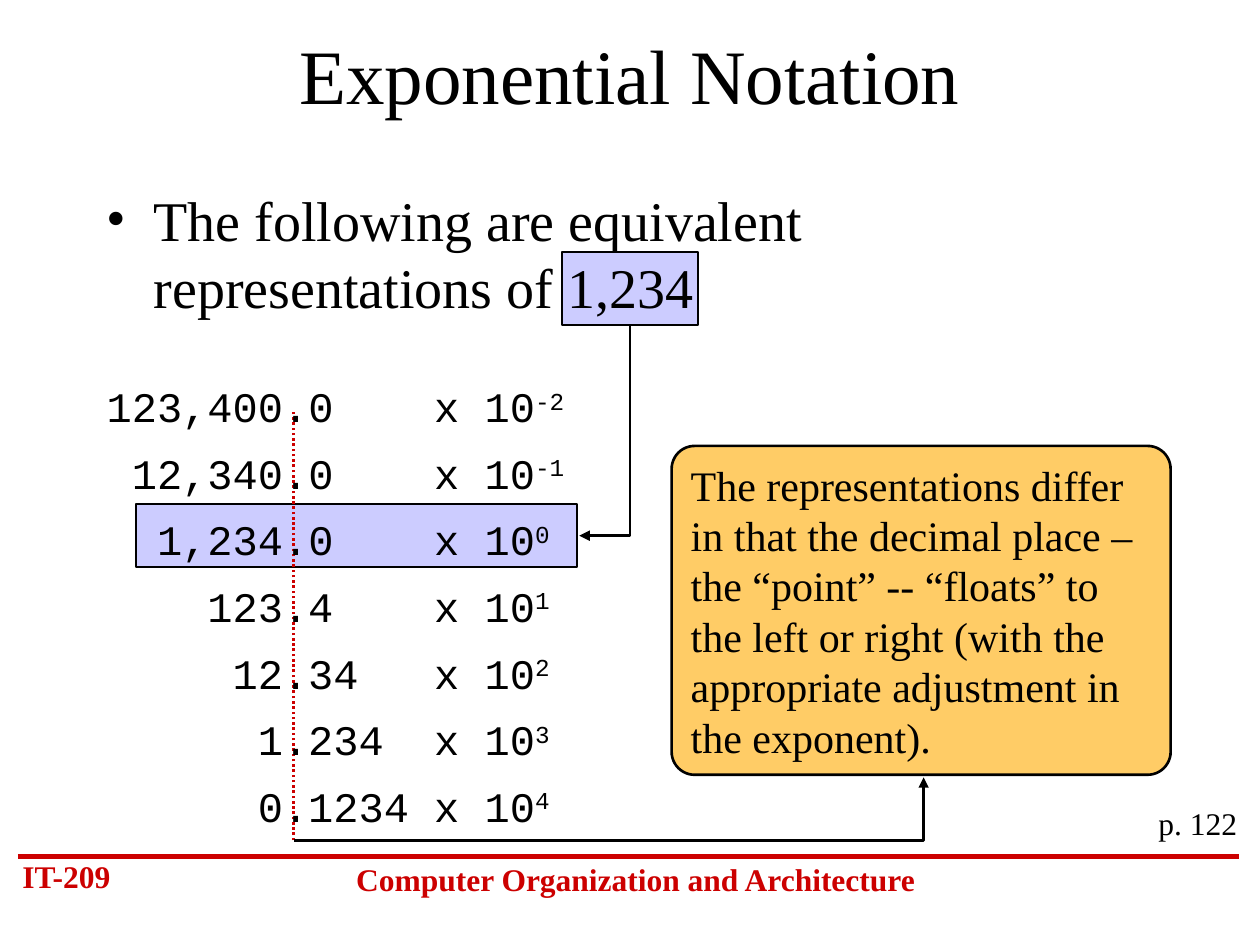
from lxml import etree
from pptx import Presentation
from pptx.dml.color import RGBColor
from pptx.enum.dml import MSO_LINE
from pptx.enum.shapes import MSO_CONNECTOR, MSO_SHAPE
from pptx.enum.text import MSO_ANCHOR, PP_ALIGN
from pptx.oxml.ns import qn
from pptx.util import Cm, Pt

COLORS = {"ink": "000000", "red": "CC0000", "lilac": "CCCCFF", "amber": "FFCC66"}
SERIF, MONO = "Times New Roman", "Courier New"
CHARACTER = 0.508  # width of one 24 pt Courier New character, in cm
ROWS = [("123,400.0", "-2"), ("12,340.0", "-1"), ("1,234.0", "0"),
        ("123.4", "1"), ("12.34", "2"), ("1.234", "3"), ("0.1234", "4")]


def rgb(name):
    return RGBColor.from_string(COLORS[name])


def add_run(paragraph, text, size, font=SERIF, color="ink", bold=False):
    run = paragraph.add_run()
    run.text = text
    run.font.size = Pt(size)
    run.font.name = font
    run.font.bold = bold
    run.font.color.rgb = rgb(color)
    return run


def add_frame(slide, box):
    frame = slide.shapes.add_textbox(*map(Cm, box)).text_frame
    frame.word_wrap = True
    return frame


def add_label(slide, box, text, size, align=PP_ALIGN.LEFT, before=0, **style):
    frame = add_frame(slide, box)
    paragraph = frame.paragraphs[0]
    paragraph.alignment = align
    paragraph.space_before = Pt(before)
    add_run(paragraph, text, size, **style)
    return frame


def add_box(slide, box, fill, kind=MSO_SHAPE.RECTANGLE):
    shape = slide.shapes.add_shape(kind, *map(Cm, box))
    shape.shadow.inherit = False
    shape.fill.solid()
    shape.fill.fore_color.rgb = rgb(fill)
    shape.line.color.rgb = rgb("ink")
    shape.line.width = Pt(1.5)
    return shape


def add_line(slide, start, end, width):
    line = slide.shapes.add_connector(MSO_CONNECTOR.STRAIGHT, *map(Cm, start + end))
    line.line.color.rgb = rgb("red")
    line.line.width = Pt(width)
    etree.SubElement(line._element.spPr, qn("a:effectLst"))
    return line


def add_elbow_arrow(slide, start, corner, end):
    points = [(Cm(x), Cm(y)) for x, y in (start, corner, end)]
    builder = slide.shapes.build_freeform(*points[0])
    builder.add_line_segments(points[1:], close=False)
    arrow = builder.convert_to_shape()
    arrow.shadow.inherit = False
    arrow.fill.background()
    arrow.line.color.rgb = rgb("ink")
    arrow.line.width = Pt(1.5)
    etree.SubElement(arrow.line._get_or_add_ln(), qn("a:tailEnd"), type="triangle")


def add_footer(slide, box):
    left, top, width, height = box
    add_line(slide, (left, top + 0.12), (left + width, top + 0.12), 3)
    style = dict(before=11.2, color="red", bold=True)
    add_label(slide, (left - 0.16, top, 3.81, height), "IT-209", 18, **style)
    add_label(slide, (left + 6.42, top + 0.07, 12.07, height),
              "Computer Organization and Architecture", 18, PP_ALIGN.CENTER, **style)


def add_bullet(slide, box):
    frame = add_label(slide, box, "The following are equivalent representations of 1,234",
                      32, before=8)
    properties = frame.paragraphs[0]._p.get_or_add_pPr()
    properties.set("marL", str(Cm(0.95)))
    properties.set("indent", str(-Cm(0.95)))
    etree.SubElement(properties, qn("a:buFont"), typeface=SERIF)
    etree.SubElement(properties, qn("a:buChar"), char="•")


def add_representations(slide, box):
    """List the rows with their decimal points aligned by tab stops."""
    frame = add_frame(slide, box)
    point = ROWS[0][0].index(".")
    for number, (mantissa, exponent) in enumerate(ROWS):
        paragraph = frame.add_paragraph() if number else frame.paragraphs[0]
        paragraph.line_spacing = 0.8
        paragraph.space_before = Pt(15)
        indent = point - mantissa.index(".")
        stops = [indent, 13] if indent else [13]
        tabs = etree.SubElement(paragraph._p.get_or_add_pPr(), qn("a:tabLst"))
        for stop in stops:
            etree.SubElement(tabs, qn("a:tab"), pos=str(Cm(stop * CHARACTER)), algn="l")
        lead = "\t" if indent else ""
        add_run(paragraph, f"{lead}{mantissa}\tx 10", 24, MONO)
        power = add_run(paragraph, exponent, 24, MONO)
        power.font._element.set("baseline", "30000")


def add_callout(slide, box):
    callout = add_box(slide, box, "amber", MSO_SHAPE.ROUNDED_RECTANGLE)
    callout.adjustments[0] = 0.07
    frame = callout.text_frame
    frame.word_wrap = True
    frame.vertical_anchor = MSO_ANCHOR.MIDDLE
    frame.paragraphs[0].alignment = PP_ALIGN.LEFT
    add_run(frame.paragraphs[0],
            "The representations differ in that the decimal place – the “point” -- “floats” "
            "to the left or right (with the appropriate adjustment in the exponent).", 24)


def main():
    presentation = Presentation()
    presentation.slide_width, presentation.slide_height = Cm(25.4), Cm(19.05)
    slide = presentation.slides.add_slide(presentation.slide_layouts[6])

    add_footer(slide, (0.36, 17.15, 24.61, 1.02))

    # Highlights behind the number and its matching row
    add_box(slide, (11.33, 5.08, 2.74, 1.47), "lilac")
    add_box(slide, (2.74, 10.16, 8.89, 1.27), "lilac")

    title = add_label(slide, (1.9, 0.43, 21.6, 2.11), "Exponential Notation", 44,
                      PP_ALIGN.CENTER)
    title.vertical_anchor = MSO_ANCHOR.MIDDLE

    # Decimal point guide
    guide = add_line(slide, (5.92, 16.94), (5.92, 8.26), 1.5)
    guide.line.dash_style = MSO_LINE.ROUND_DOT

    add_callout(slide, (13.54, 8.99, 10.06, 6.63))
    add_label(slide, (22.22, 16.08, 2.97, 1.02), "p. 122", 18, PP_ALIGN.RIGHT, before=11.2)

    # Arrows from the number to its row and from the guide to the callout
    add_elbow_arrow(slide, (12.7, 6.55), (12.7, 10.8), (11.68, 10.8))
    add_elbow_arrow(slide, (5.92, 16.94), (18.62, 16.94), (18.62, 15.67))

    add_bullet(slide, (1.9, 3.61, 21.4, 11.43))
    add_representations(slide, (1.9, 7.75, 10.16, 9.12))

    presentation.save("out.pptx")


if __name__ == "__main__":
    main()
